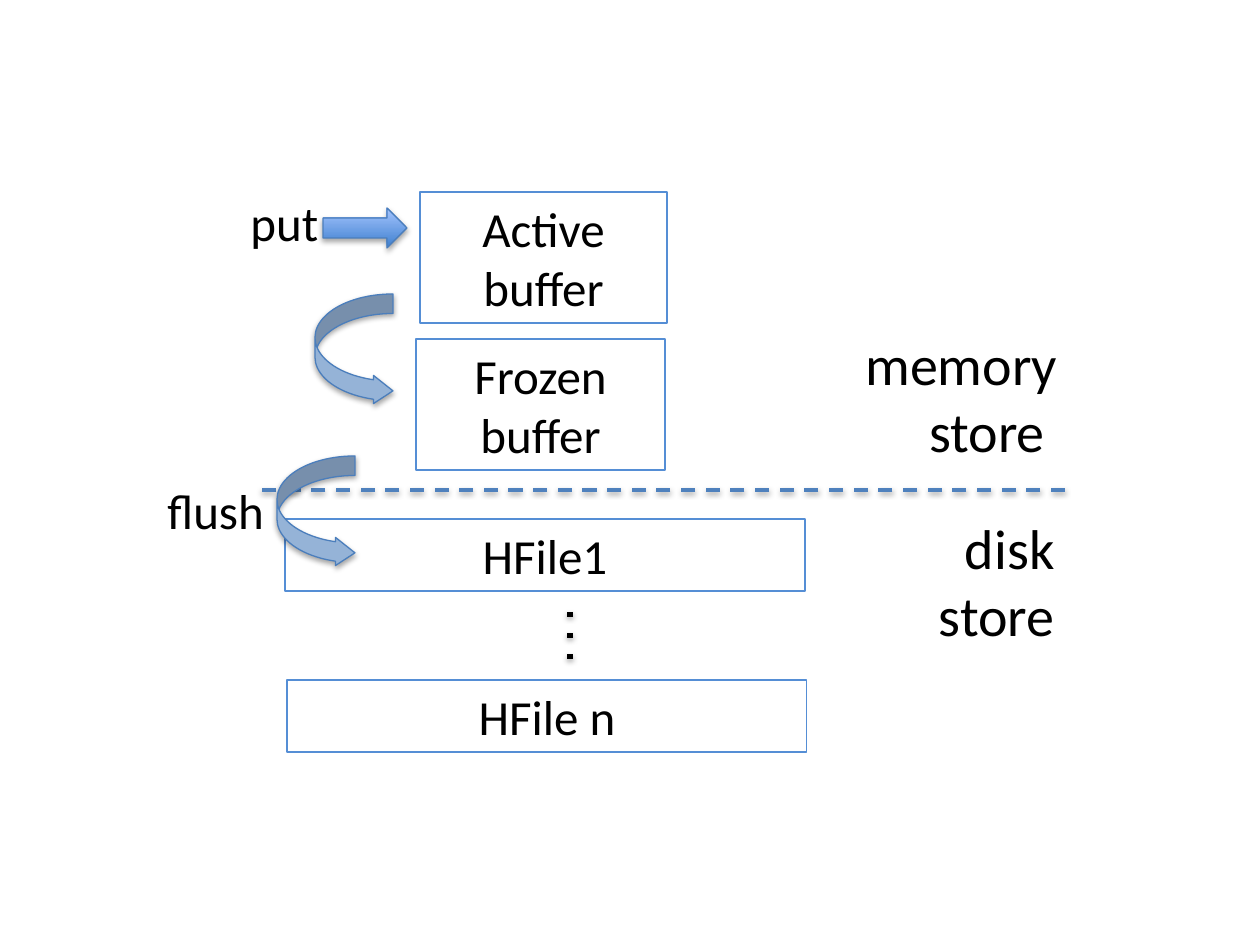
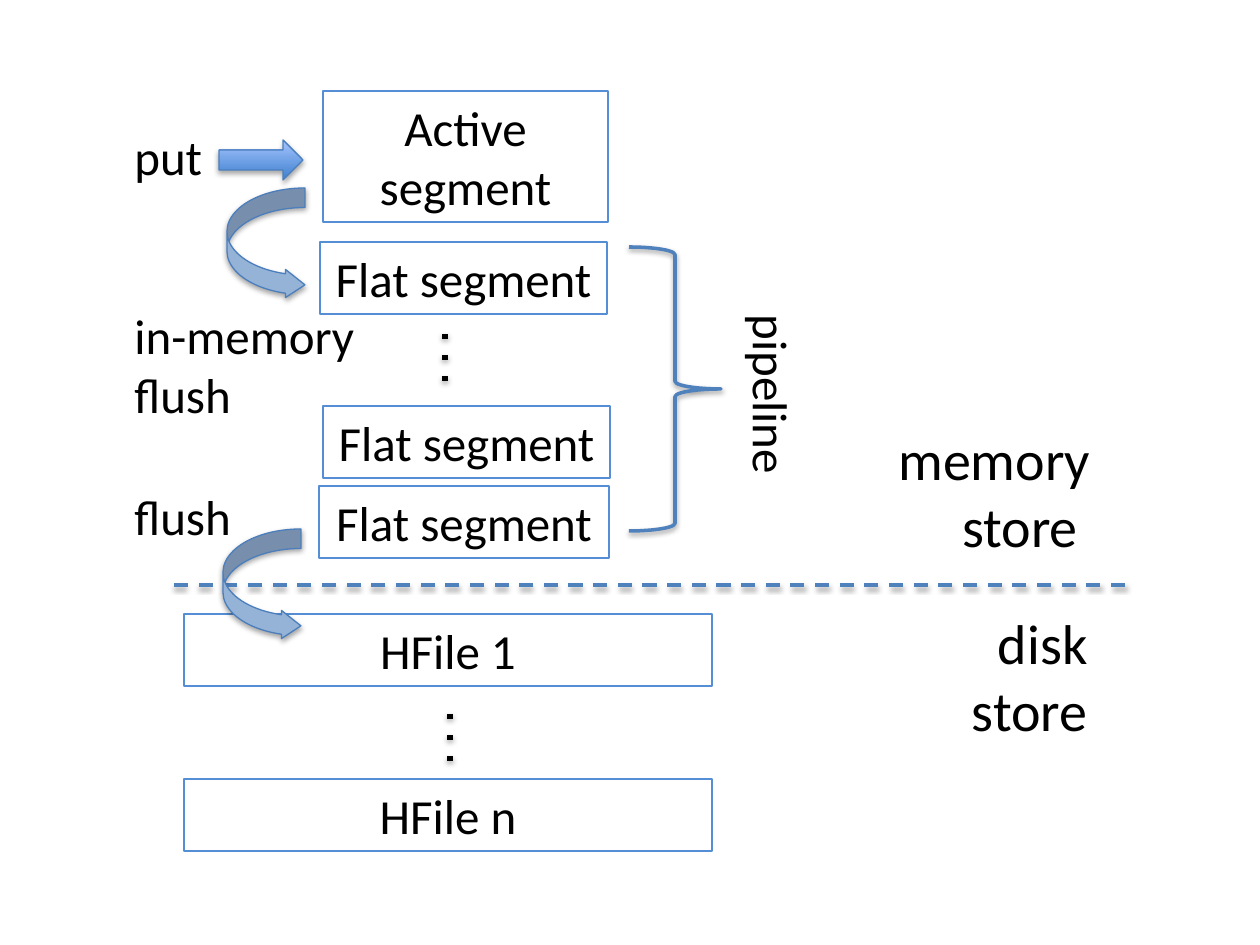
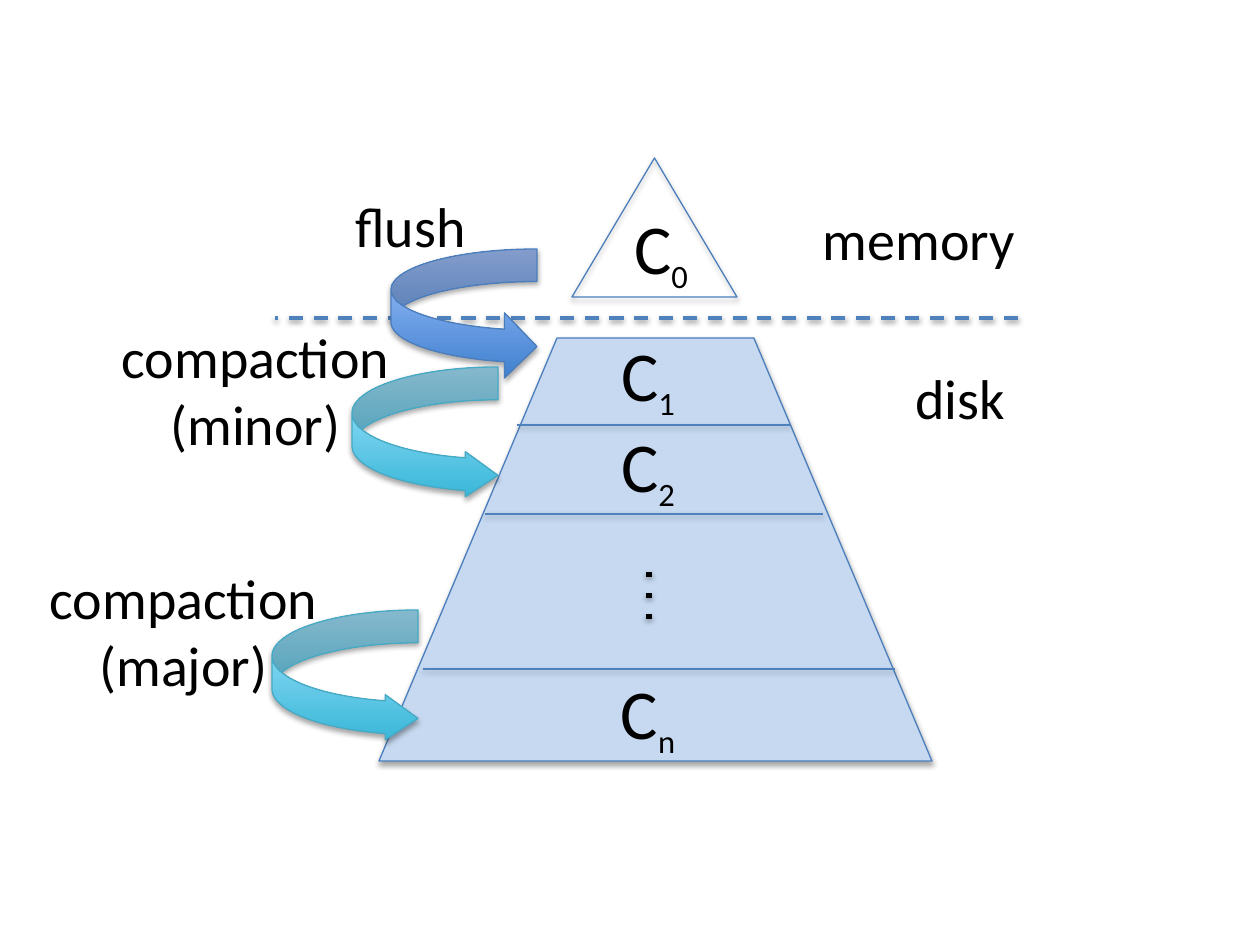
from dataclasses import dataclass

from lxml import etree
from pptx import Presentation
from pptx.dml.color import RGBColor
from pptx.enum.dml import MSO_LINE
from pptx.enum.shapes import MSO_CONNECTOR, MSO_SHAPE
from pptx.enum.text import MSO_ANCHOR, MSO_AUTO_SIZE, PP_ALIGN
from pptx.oxml.ns import qn
from pptx.util import Emu, Pt

SCALE = 914400 // 126
LEFT, MID, RIGHT = PP_ALIGN.LEFT, PP_ALIGN.CENTER, PP_ALIGN.RIGHT
TOP, GROW = MSO_ANCHOR.TOP, MSO_AUTO_SIZE.SHAPE_TO_FIT_TEXT
RECT, ARROW, CURL = MSO_SHAPE.RECTANGLE, MSO_SHAPE.RIGHT_ARROW, MSO_SHAPE.CURVED_RIGHT_ARROW
PEAK, BASE, BRACE = MSO_SHAPE.ISOSCELES_TRIANGLE, MSO_SHAPE.TRAPEZOID, MSO_SHAPE.RIGHT_BRACE
STRAIGHT, DASH = MSO_CONNECTOR.STRAIGHT, MSO_LINE.DASH


@dataclass(frozen=True)
class Theme:
    """Colours, font, type sizes and line widths."""
    font: str = "Calibri"
    ink: str = "000000"
    frame: str = "558ED5"
    edge: str = "4B7EBC"
    rule: str = "4F81BD"
    teal: str = "46AAC5"
    steel: str = "95B3D7"
    pale: str = "C6D9F1"
    blues: tuple = ("3F80CE", "A4C4FF")
    aquas: tuple = ("39B7D8", "A7E6FF")
    body: int = 28
    large: int = 32
    huge: int = 40
    thin: float = 0.75
    bold: float = 2
    dot: float = 3


T = Theme()


def px(*vals):
    """Turn picture pixels into EMU."""
    return [Emu(v * SCALE) for v in vals]


def rgb(code):
    """Make a colour from its hex code."""
    return RGBColor.from_string(code)


def shade(item, alpha, dist):
    """Add a soft shadow below an item whose line is already set."""
    effects = etree.SubElement(item.element.spPr, qn("a:effectLst"))
    outer = etree.SubElement(effects, qn("a:outerShdw"), blurRad="40000",
                             dist=str(dist), dir="5400000", rotWithShape="0")
    black = etree.SubElement(outer, qn("a:srgbClr"), val=T.ink)
    etree.SubElement(black, qn("a:alpha"), val=str(alpha * 1000))


def stroke(item, color, width):
    """Set the colour and width of a line."""
    item.line.color.rgb = rgb(color)
    item.line.width = Pt(width)


def style(par, size, align):
    """Set the font and alignment of a paragraph."""
    par.alignment = align
    par.font.name, par.font.size = T.font, Pt(size)
    par.font.color.rgb = rgb(T.ink)


def write(item, text, size, align, wrap):
    """Write lines of text into an item."""
    frame = item.text_frame
    frame.text = text
    frame.word_wrap, frame.auto_size = wrap, GROW
    frame.vertical_anchor = TOP
    for par in frame.paragraphs:
        style(par, size, align)


def label(slide, text, at, size=T.body, align=LEFT, wrap=False):
    """Add free text."""
    item = slide.shapes.add_textbox(*px(*at))
    write(item, text, size, align, wrap)
    return item


def box(slide, text, at):
    """Add an outlined box with centred text."""
    item = slide.shapes.add_shape(RECT, *px(*at))
    item.shadow.inherit = False
    item.fill.background()
    stroke(item, T.frame, T.thin)
    write(item, text, T.body, MID, True)


def form(slide, kind, at, fill=None, edge=T.edge, adj=()):
    """Add a shadowed shape with no fill, a plain fill or a gradient."""
    item = slide.shapes.add_shape(kind, *px(*at))
    for i, val in enumerate(adj):
        item.adjustments[i] = val
    if fill is None:
        item.fill.background()
    elif isinstance(fill, str):
        item.fill.solid()
        item.fill.fore_color.rgb = rgb(fill)
    else:
        item.fill.gradient()
        item.fill.gradient_angle = 90
        for stop, code in zip(item.fill.gradient_stops, fill):
            stop.color.rgb = rgb(code)
    stroke(item, edge, T.thin)
    shade(item, 35, 23000)


def line(slide, ends, color=T.rule, width=T.thin, dash=None):
    """Add a shadowed line, dashed by the named preset."""
    item = slide.shapes.add_connector(STRAIGHT, *px(*ends))
    stroke(item, color, width)
    if dash:
        item.line.dash_style = DASH
        item.element.spPr.find(".//" + qn("a:prstDash")).set("val", dash)
    shade(item, 38, 20000)


def border(slide, left, right, y):
    """Add the dashed border between memory and disk."""
    line(slide, (right, y, left, y), width=T.bold, dash="dash")


def dots(slide, x, y):
    """Add three dots standing for omitted items."""
    line(slide, (x, y + 57, x, y), T.ink, T.dot, "dot")


def stores(slide, left, right, y, x):
    """Add the border with the names of the stores on both sides."""
    border(slide, left, right, y)
    label(slide, "memory store ", (x, y - 167, 226, 149), T.large, RIGHT, True)
    label(slide, "disk store", (x + 68, y + 17, 155, 149), T.large, RIGHT, True)


def put(slide, text, arrow):
    """Add the put label and its arrow."""
    label(slide, "put", (*text, 95, 72))
    form(slide, ARROW, (*arrow, 84, 40), T.blues)


def curl(slide, x, y):
    """Add a small curved arrow."""
    form(slide, CURL, (x, y, 78, 111), T.steel, adj=(0.25, 0.362, 0.25))


def level(slide, sub, x, y):
    """Add a level name: C with a subscript."""
    item = label(slide, "C", (x, y, 136, 97), T.huge, MID, True)
    run = item.text_frame.paragraphs[0].add_run()
    run.text = sub
    run.font.size = Pt(T.large)
    run.font._element.set("baseline", "-25000")


def buffers(slide):
    """Draw the store with an active and a frozen buffer."""
    stores(slide, 252, 1065, 490, 844)
    box(slide, "Active buffer", (420, 192, 247, 131))
    box(slide, "Frozen buffer", (416, 339, 249, 131))
    label(slide, "flush", (155, 474, 123, 72))
    box(slide, "HFile1", (285, 519, 520, 72))
    dots(slide, 570, 602)
    box(slide, "HFile n", (287, 680, 520, 72))
    put(slide, (238, 186), (323, 208))
    curl(slide, 315, 294)
    curl(slide, 277, 456)


def segments(slide):
    """Draw the store with a pipeline of flat segments."""
    stores(slide, 173, 1125, 585, 877)
    box(slide, "Active segment", (323, 91, 285, 131))
    label(slide, "flush", (122, 480, 123, 72))
    for text, y in (("HFile 1", 614), ("HFile n", 779)):
        box(slide, text, (184, y, 528, 72))
    dots(slide, 450, 704)
    put(slide, (122, 120), (219, 140))
    curl(slide, 223, 529)
    for x, y, wide in ((320, 242, 287), (323, 406, 287), (319, 486, 290)):
        box(slide, "Flat segment", (x, y, wide, 72))
    dots(slide, 445, 324)
    curl(slide, 227, 188)
    brace = slide.shapes.add_shape(BRACE, *px(629, 247, 92, 284))
    brace.fill.background()
    stroke(brace, T.rule, T.bold)
    shade(brace, 38, 20000)
    label(slide, "pipeline", (679, 359, 186, 72)).rotation = 90
    label(slide, "in-memory\nflush", (122, 299, 248, 131))


def levels(slide):
    """Draw the pyramid of levels with flush and compactions."""
    form(slide, PEAK, (572, 158, 165, 139))
    form(slide, BASE, (379, 338, 553, 423), T.pale, adj=(0.421,))
    border(slide, 275, 1018, 318)
    label(slide, "memory", (806, 198, 226, 81), T.large, MID, True)
    label(slide, "disk", (895, 357, 130, 81), T.large, MID, True)
    for left, right, y in ((517, 790, 425), (485, 823, 514), (423, 895, 669)):
        line(slide, (left, y, right, y))
    for sub, x, y in (("0", 593, 198), ("1", 580, 325), ("2", 580, 416), ("n", 580, 663)):
        level(slide, sub, x, y)
    dots(slide, 649, 562)
    form(slide, CURL, (391, 249, 146, 130), T.blues)
    label(slide, "flush", (343, 185, 140, 81), T.large)
    for kind, x, y, left, top in (("minor", 105, 316, 352, 367), ("major", 33, 557, 272, 610)):
        label(slide, f"compaction\n({kind})", (x, y, 301, 149), T.large, MID)
        form(slide, CURL, (left, top, 146, 131), T.aquas, T.teal, (0.25, 0.345, 0.25))


def main():
    """Build the three slides and save them."""
    deck = Presentation()
    deck.slide_width, deck.slide_height = px(1260, 945)
    for draw in (buffers, segments, levels):
        draw(deck.slides.add_slide(deck.slide_layouts[6]))
    deck.save("out.pptx")


main()
